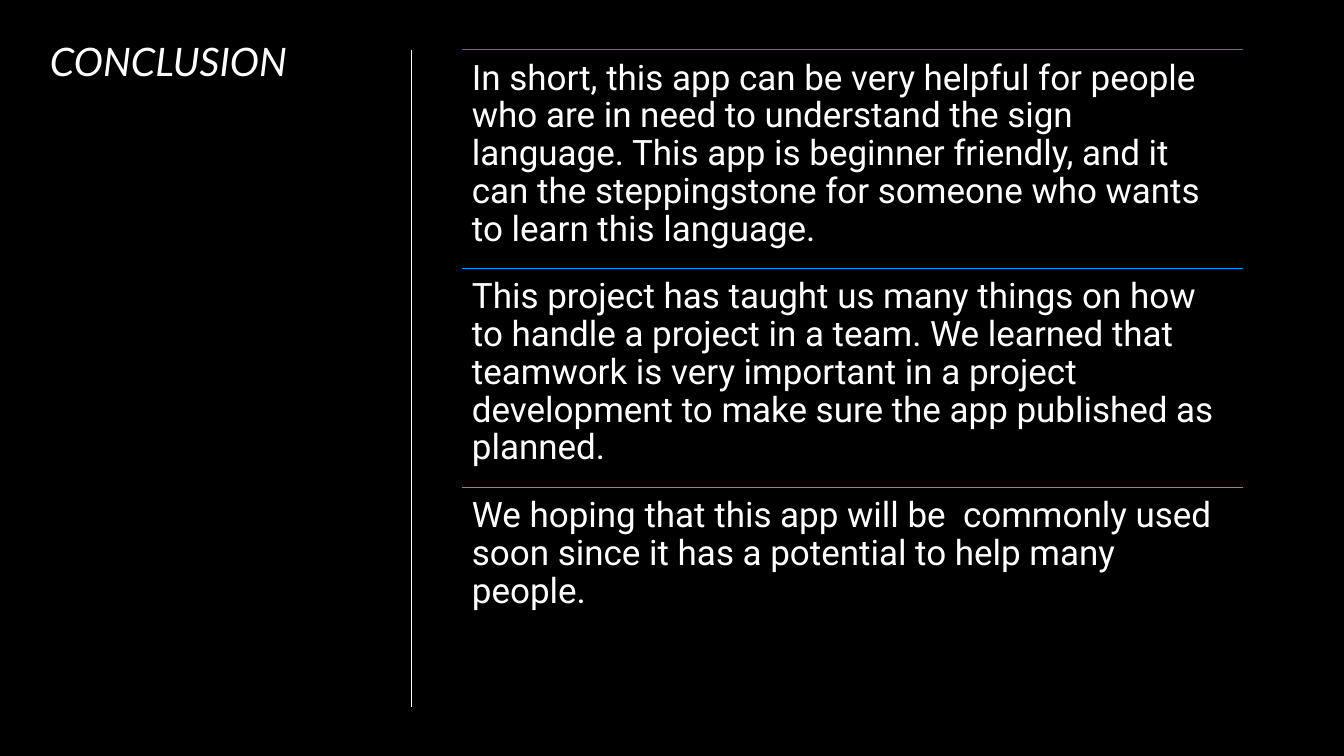
from lxml import etree
from pptx import Presentation
from pptx.dml.color import RGBColor
from pptx.enum.shapes import MSO_CONNECTOR
from pptx.enum.text import MSO_ANCHOR, PP_ALIGN
from pptx.util import Pt

STRAIGHT = MSO_CONNECTOR.STRAIGHT
TOP = MSO_ANCHOR.TOP
LEFT = PP_ALIGN.LEFT
SCALE = 914400 / 100.8
DML = "{http://schemas.openxmlformats.org/drawingml/2006/main}"
WHITE = "FFFFFF"

POINTS = [
    ("794DFF", "In short, this app can be very helpful for people who are in need "
     "to understand the sign language. This app is beginner friendly, and it can "
     "the steppingstone for someone who wants to learn this language."),
    ("0F9AFF", "This project has taught us many things on how to handle a project "
     "in a team. We learned that teamwork is very important in a project "
     "development to make sure the app published as planned."),
    ("00D17D", "We hoping that this app will be  commonly used soon since it has "
     "a potential to help many people."),
]


def px(num):
    return round(num * SCALE)


def color(code):
    return RGBColor.from_string(code)


def add_line(slide, left, top, right, bottom, code):
    line = slide.shapes.add_connector(
        STRAIGHT, px(left), px(top), px(right), px(bottom))
    line.line.color.rgb = color(code)
    line.line.width = Pt(0.75)
    etree.SubElement(line._element.spPr, DML + "effectLst")


def add_text(slide, box, text, font, size, inset=0, italic=False):
    shape = slide.shapes.add_textbox(*map(px, box))
    frame = shape.text_frame
    frame.word_wrap = True
    frame.vertical_anchor = TOP
    frame.margin_left = frame.margin_right = px(inset)
    frame.margin_top = frame.margin_bottom = px(inset)
    para = frame.paragraphs[0]
    para.alignment = LEFT
    para.line_spacing = 0.9
    run = para.add_run()
    run.text = text
    run.font.name = font
    run.font.size = Pt(size)
    run.font.italic = italic
    run.font.color.rgb = color(WHITE)


def add_title(slide, box):
    add_text(slide, box, "CONCLUSION", "Lato", 28, italic=True)


def add_points(slide, box):
    left, top, width, height = box
    step = height / len(POINTS)
    for row, (code, text) in enumerate(POINTS):
        y = top + row * step
        add_line(slide, left, y, left + width, y, code)
        add_text(slide, (left, y, width, step), text, "Roboto", 25, inset=10)


def main():
    deck = Presentation()
    deck.slide_width, deck.slide_height = px(1344), px(756)
    slide = deck.slides.add_slide(deck.slide_layouts[6])
    fill = slide.background.fill
    fill.solid()
    fill.fore_color.rgb = color("000000")

    # Title column
    add_title(slide, (50, 43, 314, 657))
    # Divider between the columns
    add_line(slide, 412, 50, 412, 707, WHITE)
    # Ruled closing points
    add_points(slide, (462, 50, 781, 656))

    deck.save("out.pptx")


if __name__ == "__main__":
    main()
